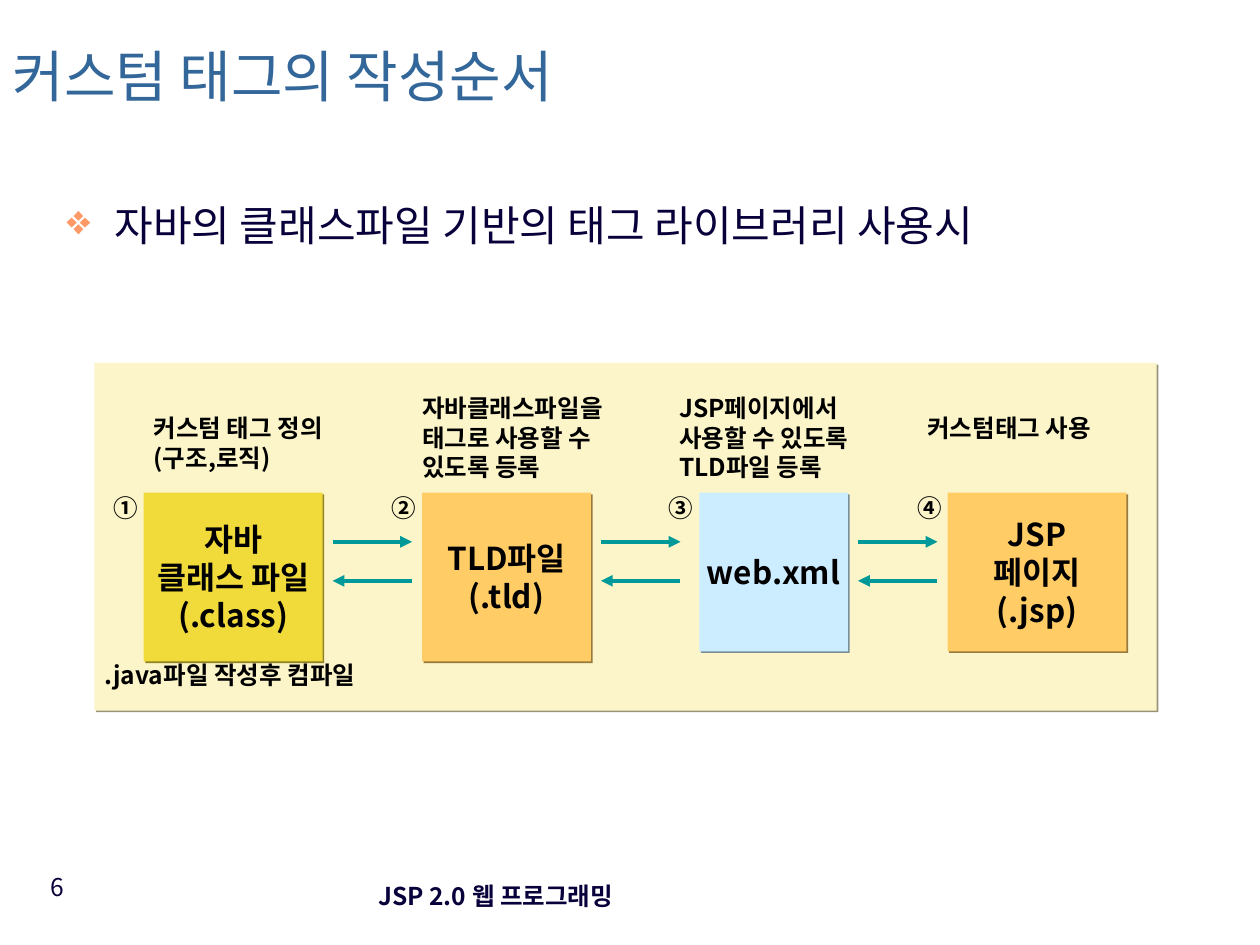
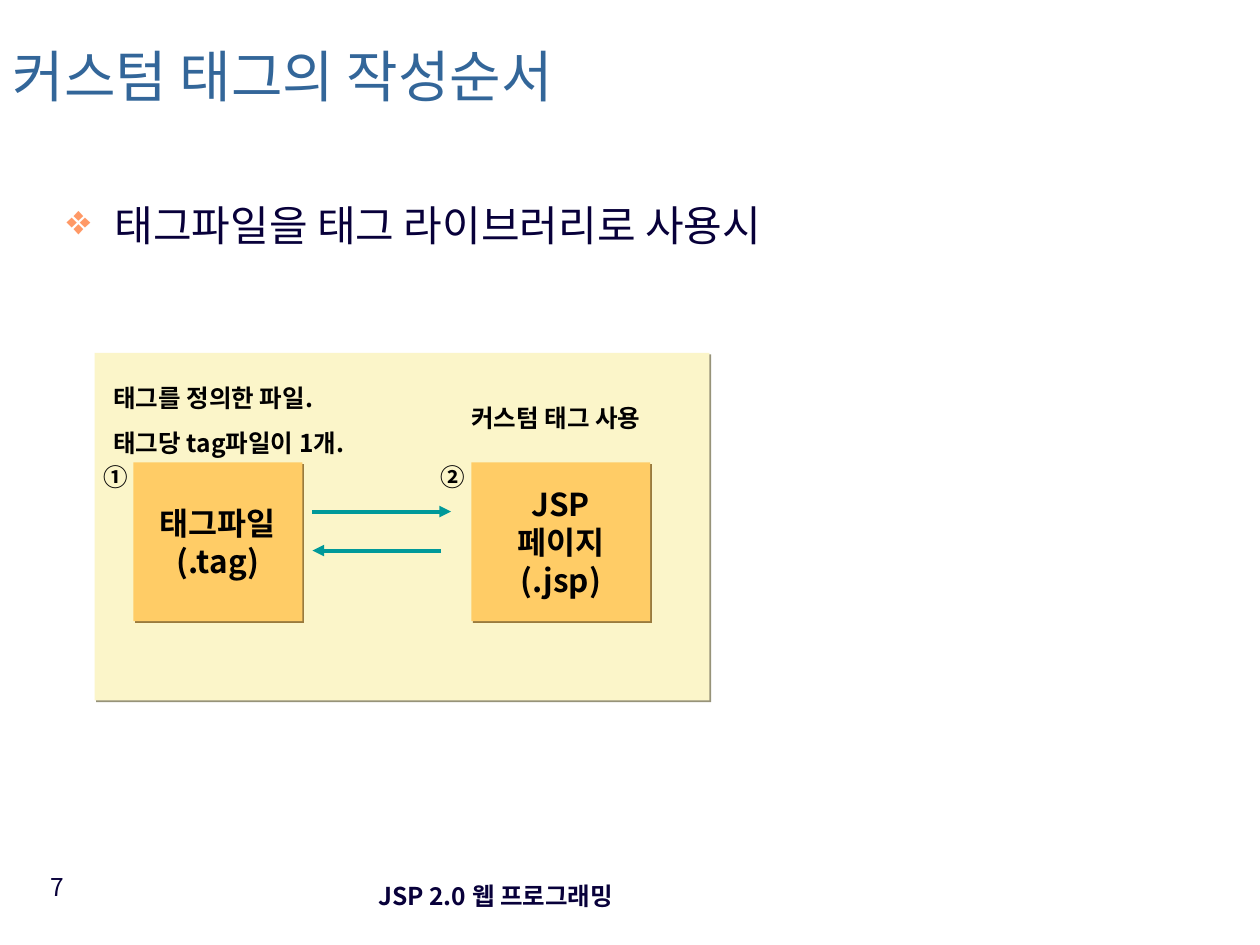
from lxml import etree
from pptx import Presentation
from pptx.dml.color import RGBColor
from pptx.enum.shapes import MSO_CONNECTOR, MSO_SHAPE
from pptx.enum.text import MSO_ANCHOR, PP_ALIGN
from pptx.oxml.ns import qn
from pptx.util import Inches, Pt

LEFT, CENTER, RIGHT = PP_ALIGN.LEFT, PP_ALIGN.CENTER, PP_ALIGN.RIGHT
TOP, MIDDLE = MSO_ANCHOR.TOP, MSO_ANCHOR.MIDDLE
RECTANGLE, STRAIGHT = MSO_SHAPE.RECTANGLE, MSO_CONNECTOR.STRAIGHT
FONT = "Noto Sans CJK KR"
INK, NAVY, BLUE, TEAL, CORAL = "010000", "08003A", "336699", "009999", "FF9966"
CREAM, YELLOW, ORANGE, SKY = "FBF5C9", "F1DB3B", "FFCC66", "CCECFF"
LABEL = {"size": Pt(14), "bold": True}
BOX_TEXT = {"size": Pt(18), "bold": True}
LABEL_LEADING, BOX_LEADING, TOPIC_LEADING = Pt(16.8), Pt(21.6), Pt(33.6)
PANEL_LEFT, PANEL_HEIGHT, MARGIN = 0.75, 2.76, 0.08
NUMBERS = "①②③④"


def rgb(value):
    """Turn a hex string into a colour."""
    return RGBColor.from_string(value)


def add_node(parent, tag, **attributes):
    """Append an XML element to its parent and return it."""
    return etree.SubElement(parent, qn(tag), {key: str(value) for key, value in attributes.items()})


class SlideBuilder:
    """Hold the deck, its style and the current page."""

    def __init__(self):
        """Start an empty deck."""
        self.deck = Presentation()
        self.deck.slide_width, self.deck.slide_height = Inches(10), Inches(7.5)
        self.page = None

    def fill_text(self, box, lines, font, color=INK, align=LEFT, anchor=TOP,
                  insets=(0.1, 0.05), wrap=True, leading=None, gap=0):
        """Fill a shape with formatted paragraphs."""
        frame = box.text_frame
        across, down = map(Inches, insets)
        settings = {"word_wrap": wrap, "vertical_anchor": anchor, "margin_left": across,
                    "margin_right": across, "margin_top": down, "margin_bottom": down}
        for name, value in settings.items():
            setattr(frame, name, value)
        for index, line in enumerate(lines):
            para = frame.add_paragraph() if index else frame.paragraphs[0]
            para.alignment, para.line_spacing = align, leading
            para.space_before = Pt(gap if index else 0)
            span = para.add_run()
            span.text = line
            for name, value in {"name": FONT, **font}.items():
                setattr(span.font, name, value)
            span.font.color.rgb = rgb(color)
            add_node(span.font._element, "a:ea", typeface=FONT)

    def text(self, area, lines, font, **style):
        """Add a text box."""
        box = self.page.shapes.add_textbox(*map(Inches, area))
        self.fill_text(box, lines, font, **style)
        return box

    def label(self, area, lines):
        """Add a bold caption without margins."""
        self.text(area, lines, LABEL, insets=(0, 0), leading=LABEL_LEADING, gap=8.8)

    def start(self, title, number):
        """Open a page with its title, footer and page number."""
        self.page = self.deck.slides.add_slide(self.deck.slide_layouts[5])
        box = self.page.shapes.title
        box.left, box.top, box.width, box.height = map(Inches, (0, 0.21, 6.42, 0.9))
        self.fill_text(box, [title], {"size": Pt(32)}, color=BLUE, anchor=MIDDLE, leading=0.7)
        self.text((2.35, 6.86, 3.17, 0.5), ["JSP 2.0 웹 프로그래밍"], LABEL,
                  color=NAVY, align=CENTER, anchor=MIDDLE)
        self.text((0.14, 6.87, 0.47, 0.52), [str(number)], {"size": Pt(14)},
                  color=NAVY, align=RIGHT)

    def topic(self, line):
        """Add the bulleted topic sentence."""
        box = self.text((0.43, 1.47, 9.32, 0.86), [line], {"size": Pt(24)},
                        color=NAVY, leading=TOPIC_LEADING)
        props = box.text_frame.paragraphs[0]._p.get_or_add_pPr()
        props.set("marL", str(Inches(0.38)))
        props.set("indent", str(-Inches(0.38)))
        add_node(add_node(props, "a:buClr"), "a:srgbClr", val=CORAL)
        add_node(props, "a:buChar", char="❖")

    def block(self, area, fill):
        """Add a rectangle with a thin shadow in a darker tone of its fill."""
        box = self.page.shapes.add_shape(RECTANGLE, *map(Inches, area))
        box.fill.solid()
        box.fill.fore_color.rgb = rgb(fill)
        box.line.fill.background()
        box.shadow.inherit = False
        effects = box._element.spPr.find(qn("a:effectLst"))
        shadow = add_node(effects, "a:outerShdw", dist=Pt(1.4), dir=2700000, algn="ctr", rotWithShape=0)
        tone = "".join(f"{round(part * 0.6):02X}" for part in rgb(fill))
        add_node(shadow, "a:srgbClr", val=tone)
        return box

    def arrow(self, start, end, height):
        """Add a horizontal arrow."""
        line = self.page.shapes.add_connector(STRAIGHT, *map(Inches, (start, height, end, height)))
        line.line.color.rgb = rgb(TEAL)
        line.line.width = Pt(2.25)
        add_node(line.line._get_or_add_ln(), "a:tailEnd", type="triangle")
        add_node(line._element.spPr, "a:effectLst")

    def flow(self, panel_top, panel_width, top, steps, arrows):
        """Draw numbered steps on a panel with arrows both ways between them."""
        self.block((PANEL_LEFT, panel_top, panel_width, PANEL_HEIGHT), CREAM)
        for number, (left, width, height, fill, lines, caption_area, caption) in zip(NUMBERS, steps):
            box = self.block((left, top, width, height), fill)
            self.fill_text(box, lines, BOX_TEXT, align=CENTER, anchor=MIDDLE,
                           wrap=False, leading=BOX_LEADING)
            self.label((left - 0.24, top, 0.24, 0.23), [number])
            self.label(caption_area, caption)
        for step, (forward, back) in zip(steps, arrows):
            start = step[0] + step[1] + MARGIN
            self.arrow(start, start + forward, top + 0.39)
            self.arrow(start + back, start, top + 0.7)


def main():
    """Build both pages and save the deck."""
    title = "커스텀 태그의 작성순서"
    jsp_lines = ["JSP", "페이지", "(.jsp)"]
    builder = SlideBuilder()

    builder.start(title, 6)
    builder.topic("자바의 클래스파일 기반의 태그 라이브러리 사용시")
    class_steps = [
        (1.14, 1.42, 1.34, YELLOW, ["자바", "클래스 파일", "(.class)"],
         (1.22, 3.28, 1.5, 0.47), ["커스텀 태그 정의(구조,로직)"]),
        (3.35, 1.34, 1.34, ORANGE, ["TLD파일", "(.tld)"],
         (3.35, 3.12, 1.57, 0.7), ["자바클래스파일을 태그로 사용할 수 있도록 등록"]),
        (5.55, 1.18, 1.26, SKY, ["web.xml"],
         (5.39, 3.12, 1.57, 0.7), ["JSP페이지에서 사용할 수 있도록 TLD파일 등록"]),
        (7.52, 1.42, 1.26, ORANGE, jsp_lines,
         (7.36, 3.28, 1.57, 0.23), ["커스텀태그 사용"]),
    ]
    builder.flow(2.88, 8.43, 3.91, class_steps, [(0.63, 0.63)] * 3)
    builder.label((0.83, 5.24, 2.2, 0.23), [".java파일 작성후 컴파일"])

    builder.start(title, 7)
    builder.topic("태그파일을 태그 라이브러리로 사용시")
    tag_steps = [
        (1.06, 1.34, 1.26, ORANGE, ["태그파일", "(.tag)"],
         (0.9, 3.04, 2.52, 0.59), ["태그를 정의한 파일.", "태그당 tag파일이 1개."]),
        (3.74, 1.42, 1.26, ORANGE, jsp_lines,
         (3.74, 3.2, 1.57, 0.23), ["커스텀 태그 사용"]),
    ]
    builder.flow(2.8, 4.88, 3.67, tag_steps, [(1.1, 1.02)])
    builder.deck.save("out.pptx")


if __name__ == "__main__":
    main()
